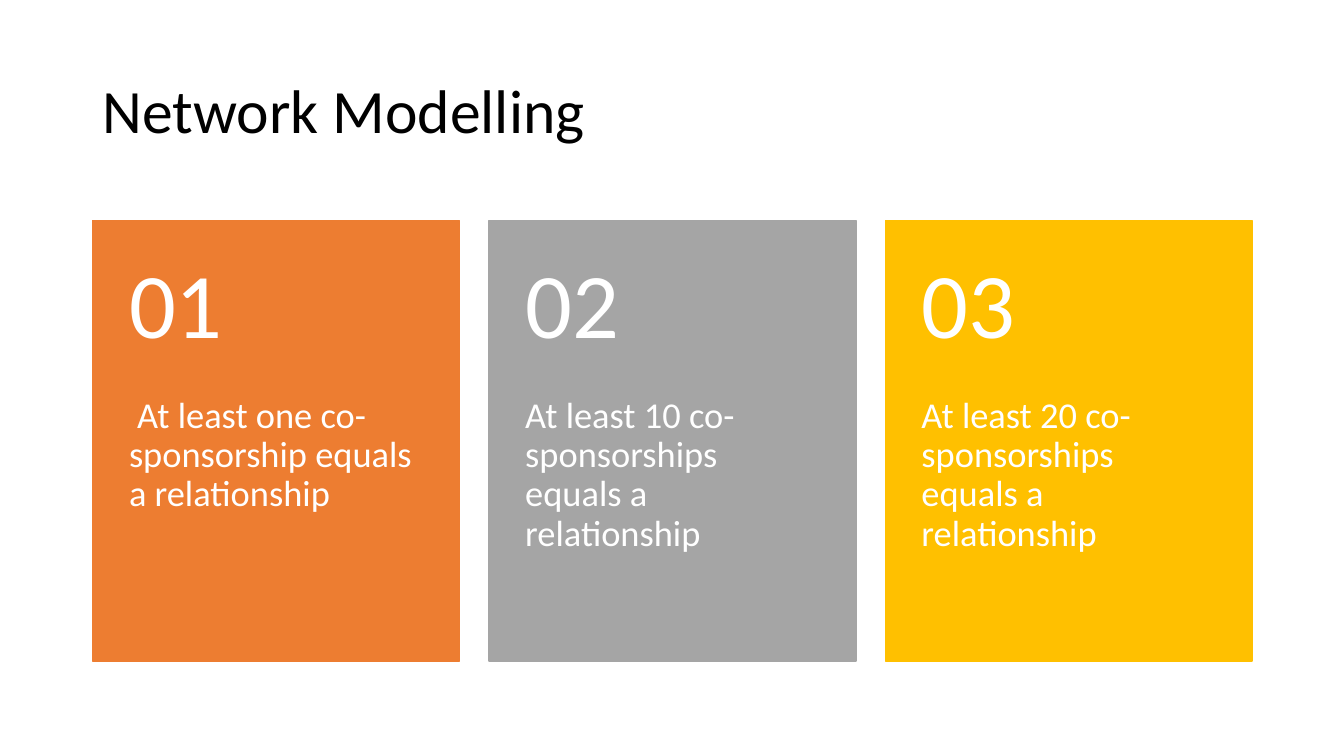
from pptx import Presentation
from pptx.dml.color import RGBColor
from pptx.enum.shapes import MSO_SHAPE
from pptx.enum.text import MSO_ANCHOR as Anchor
from pptx.util import Inches, Pt

BLACK = RGBColor(0x00, 0x00, 0x00)
WHITE = RGBColor(0xFF, 0xFF, 0xFF)
ORANGE = RGBColor(0xED, 0x7D, 0x31)
GREY = RGBColor(0xA5, 0xA5, 0xA5)
GOLD = RGBColor(0xFF, 0xC0, 0x00)

FONT = "Calibri"
MARGIN = 0.92
CONTENT_WIDTH = 11.5
GAP = 0.29
NUMBER_SHARE = 0.4
PADDING = 0.36

CARDS = [
    (ORANGE, " At least one co-sponsorship equals a relationship"),
    (GREY, "At least 10 co-sponsorships equals a relationship"),
    (GOLD, "At least 20 co-sponsorships equals a relationship"),
]


def add_text(page, box, text, size, color, anchor, insets):
    frame = page.shapes.add_textbox(*map(Inches, box)).text_frame
    frame.word_wrap = True
    frame.vertical_anchor = anchor
    (frame.margin_left, frame.margin_top,
     frame.margin_right, frame.margin_bottom) = map(Inches, insets)
    para = frame.paragraphs[0]
    para.line_spacing = 0.9
    span = para.add_run()
    span.text = text
    span.font.name = FONT
    span.font.size = Pt(size)
    span.font.color.rgb = color


def add_title(page, box, text):
    add_text(page, box, text, 44, BLACK, Anchor.MIDDLE, (0.1, 0.05, 0.1, 0.05))


def add_card(page, box, number, color, text):
    left, top, width, height = box
    panel = page.shapes.add_shape(MSO_SHAPE.RECTANGLE, *map(Inches, box))
    panel.shadow.inherit = False
    panel.fill.solid()
    panel.fill.fore_color.rgb = color
    panel.line.color.rgb = color
    panel.line.width = Pt(1)

    number_height = height * NUMBER_SHARE
    add_text(page, (left, top + number_height, width, height - number_height),
             text, 26, WHITE, Anchor.TOP, (PADDING, 0, PADDING, PADDING))
    add_text(page, (left, top, width, number_height), f"{number:02}", 66, WHITE,
             Anchor.MIDDLE, (PADDING, PADDING / 2, PADDING, PADDING / 2))


def add_card_row(page, box, cards):
    left, top, width, height = box
    card_width = (width - GAP * (len(cards) - 1)) / len(cards)
    for index, (color, text) in enumerate(cards):
        card_left = left + index * (card_width + GAP)
        add_card(page, (card_left, top, card_width, height), index + 1, color, text)


def main():
    deck = Presentation()
    deck.slide_width = Inches(13.33)
    deck.slide_height = Inches(7.5)
    page = deck.slides.add_slide(deck.slide_layouts[6])
    add_title(page, (MARGIN, 0.4, CONTENT_WIDTH, 1.45), "Network Modelling")
    add_card_row(page, (MARGIN, 2.19, CONTENT_WIDTH, 4.37), CARDS)
    deck.save("out.pptx")


if __name__ == "__main__":
    main()
